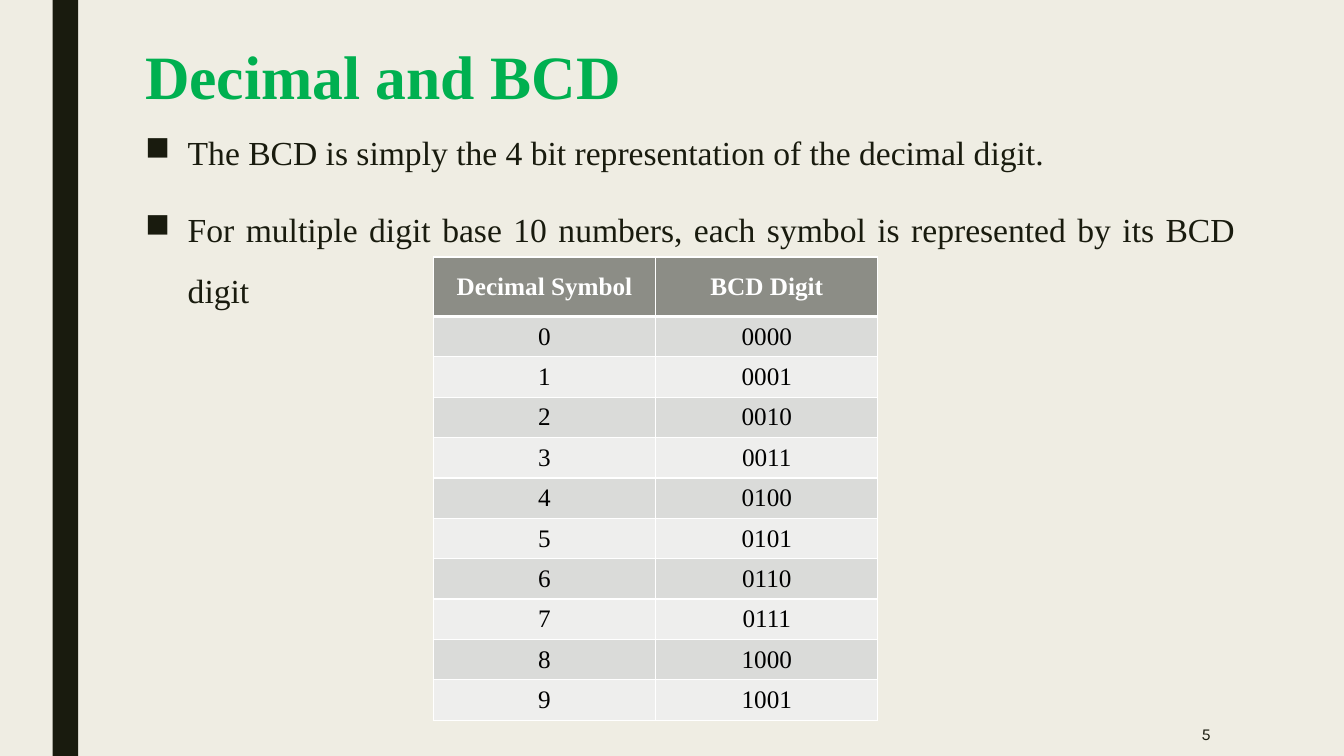
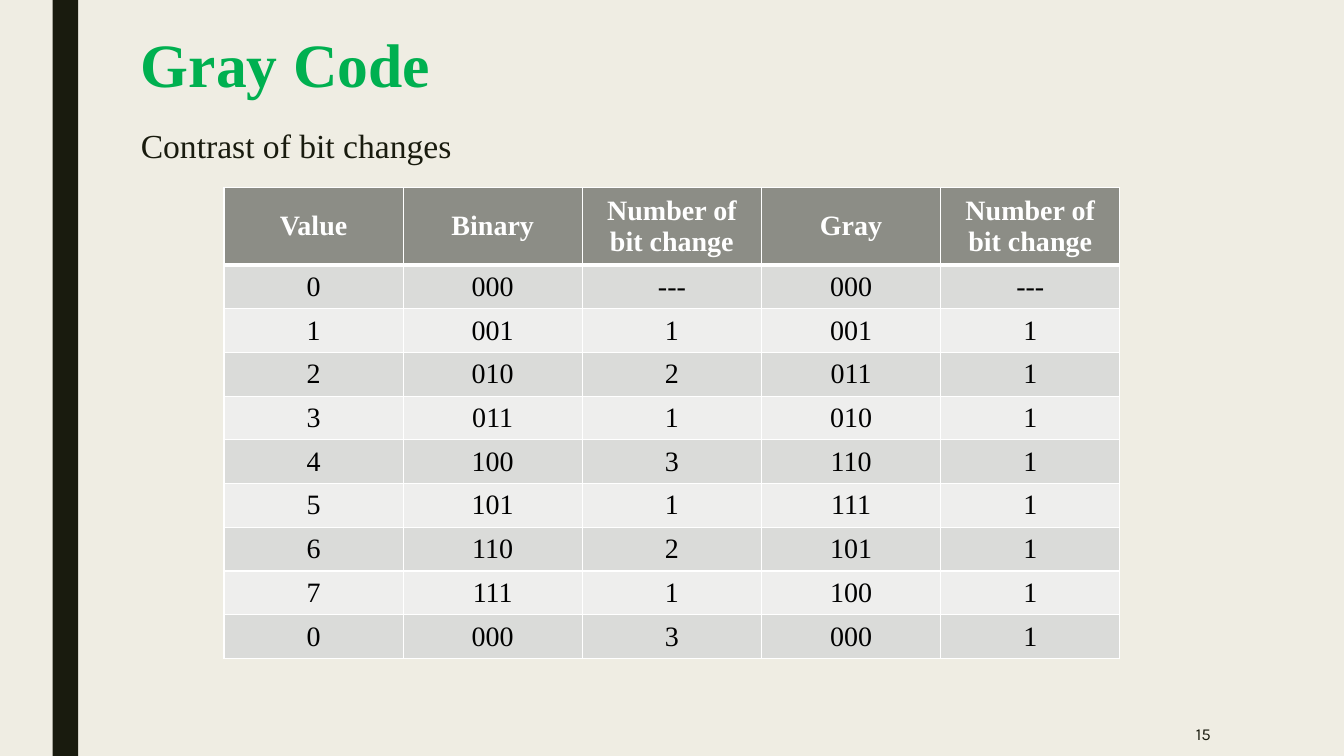
from pptx import Presentation
from pptx.dml.color import RGBColor
from pptx.enum.shapes import MSO_SHAPE as SHAPE
from pptx.enum.text import MSO_ANCHOR as ANCHOR, PP_ALIGN as ALIGN
from pptx.oxml import parse_xml
from pptx.oxml.ns import nsdecls
from pptx.util import Pt

INK, GREEN, WHITE, BLACK = "191B0E", "00B050", "FFFFFF", "000000"
PAPER, HEAD, BANDS = "EFEDE3", "8C8D86", ("DADBD9", "EEEEED")
SERIF = "Times New Roman"
TITLE_FONT = {"name": SERIF, "size": Pt(44), "bold": True}
BODY_FONT = {"name": SERIF, "size": Pt(24), "bold": False}
NUMBER_FONT = {"name": "Karla", "size": Pt(12), "bold": False}
BODY_SPACING = {"line_spacing": 1.5, "space_before": Pt(10), "space_after": Pt(2)}
BULLET_INDENT = Pt(30.5)


def rgb(color):
    """Turn a hex string into a colour."""
    return RGBColor.from_string(color)


def fill(obj, color):
    """Fill a shape, cell or background with one colour."""
    obj.fill.solid()
    obj.fill.fore_color.rgb = rgb(color)


def set_all(obj, values):
    """Set every attribute in a dict on an object."""
    for name, value in values.items():
        setattr(obj, name, value)


def write(p, text, font, color, align=ALIGN.LEFT):
    """Write one formatted run into a paragraph."""
    p.alignment = align
    r = p.add_run()
    r.text = text
    set_all(r.font, font)
    r.font.color.rgb = rgb(color)


def add_bullet(p):
    """Give a paragraph a square bullet and a hanging indent."""
    pPr = p._p.get_or_add_pPr()
    pPr.set("marL", str(BULLET_INDENT))
    pPr.set("indent", str(-BULLET_INDENT))
    pPr.append(parse_xml(f'<a:buChar {nsdecls("a")} char="■"/>'))


def add_borders(cell, bottom):
    """Draw white cell borders, with a bottom line of the given width."""
    tcPr = cell._tc.get_or_add_tcPr()
    for i, (side, width) in enumerate(zip("LRTB", (1, 1, 1, bottom))):
        tcPr.insert(i, parse_xml(
            f'<a:ln{side} {nsdecls("a")} w="{Pt(width)}"><a:solidFill>'
            f'<a:srgbClr val="{WHITE}"/></a:solidFill></a:ln{side}>'))


def add_title(s, text, left, top, width, height):
    """Place and format the title placeholder."""
    sp = s.shapes.title
    set_all(sp, {"left": Pt(left), "top": Pt(top), "width": Pt(width), "height": Pt(height)})
    set_all(sp.text_frame, {"word_wrap": True, "vertical_anchor": ANCHOR.TOP})
    write(sp.text_frame.paragraphs[0], text, TITLE_FONT, GREEN)


def add_text(s, box, anchor=ANCHOR.TOP):
    """Add a wrapping text box and return its frame."""
    tf = s.shapes.add_textbox(*map(Pt, box)).text_frame
    set_all(tf, {"word_wrap": True, "vertical_anchor": anchor})
    return tf


def add_body(s, lines, box, bulleted=False):
    """Add the body paragraphs, with or without bullets."""
    tf = add_text(s, box)
    for i, line in enumerate(lines):
        p = tf.add_paragraph() if i else tf.paragraphs[0]
        write(p, line, BODY_FONT, INK, ALIGN.JUSTIFY if bulleted else ALIGN.LEFT)
        set_all(p, BODY_SPACING)
        if bulleted:
            add_bullet(p)


def add_table(s, rows, left, top, col_width, head_height, row_height, size):
    """Add a banded table whose first row is the header."""
    count = len(rows[0])
    height = head_height + row_height * (len(rows) - 1)
    table = s.shapes.add_table(len(rows), count, Pt(left), Pt(top),
                               Pt(col_width * count), Pt(height)).table
    for col in table.columns:
        col.width = Pt(col_width)
    for i, values in enumerate(rows):
        is_head = i == 0
        table.rows[i].height = Pt(head_height if is_head else row_height)
        font = {"name": SERIF, "size": Pt(size), "bold": is_head}
        for cell, value in zip(table.rows[i].cells, values):
            fill(cell, HEAD if is_head else BANDS[(i - 1) % 2])
            add_borders(cell, 3 if is_head else 1)
            cell.vertical_anchor = ANCHOR.MIDDLE
            write(cell.text_frame.paragraphs[0], value, font,
                  WHITE if is_head else BLACK, ALIGN.CENTER)


def add_slide(prs, number):
    """Add a title-only slide with background, side band and page number."""
    s = prs.slides.add_slide(prs.slide_layouts[5])
    fill(s.background, PAPER)
    band = s.shapes.add_shape(SHAPE.RECTANGLE, Pt(37.6), 0, Pt(18.2), prs.slide_height)
    band.shadow.inherit = False
    fill(band, INK)
    band.line.fill.background()
    tf = add_text(s, (746, 508.5, 126, 31.5), ANCHOR.MIDDLE)
    write(tf.paragraphs[0], str(number), NUMBER_FONT, INK, ALIGN.RIGHT)
    return s


def bcd_rows():
    """List each decimal digit with its BCD code."""
    return [("Decimal Symbol", "BCD Digit")] + [(str(n), f"{n:04b}") for n in range(10)]


def gray_rows():
    """Compare the bit changes of binary and Gray code over one cycle."""
    change = "Number of bit change"
    rows = [("Value", "Binary", change, "Gray", change)]
    for step in range(9):
        cells = [str(step % 8)]
        for code in (lambda n: n, lambda n: n ^ (n >> 1)):
            now, before = code(step % 8), code((step - 1) % 8)
            cells += [f"{now:03b}", str(bin(now ^ before).count("1")) if step else "---"]
        rows.append(cells)
    return rows


def main():
    """Build and save the presentation."""
    prs = Presentation()
    prs.slide_width, prs.slide_height = Pt(960), Pt(540)

    s = add_slide(prs, 5)
    add_title(s, "Decimal and BCD", 96.5, 23.8, 415, 62)
    add_body(s, ("The BCD is simply the 4 bit representation of the decimal digit.",
                 "For multiple digit base 10 numbers, each symbol is represented by its BCD digit"),
             (96.5, 76.3, 793, 438.5), bulleted=True)
    add_table(s, bcd_rows(), 309.6, 183.6, 158.75, 42.5, 27.1, 18)

    s = add_slide(prs, 15)
    add_title(s, "Gray Code", 93.5, 15.1, 243, 70)
    add_body(s, ("Contrast of bit changes",), (93.5, 71.3, 802, 457))
    add_table(s, gray_rows(), 160, 134, 128, 51.5, 29.4, 20)

    prs.save("out.pptx")


if __name__ == "__main__":
    main()
